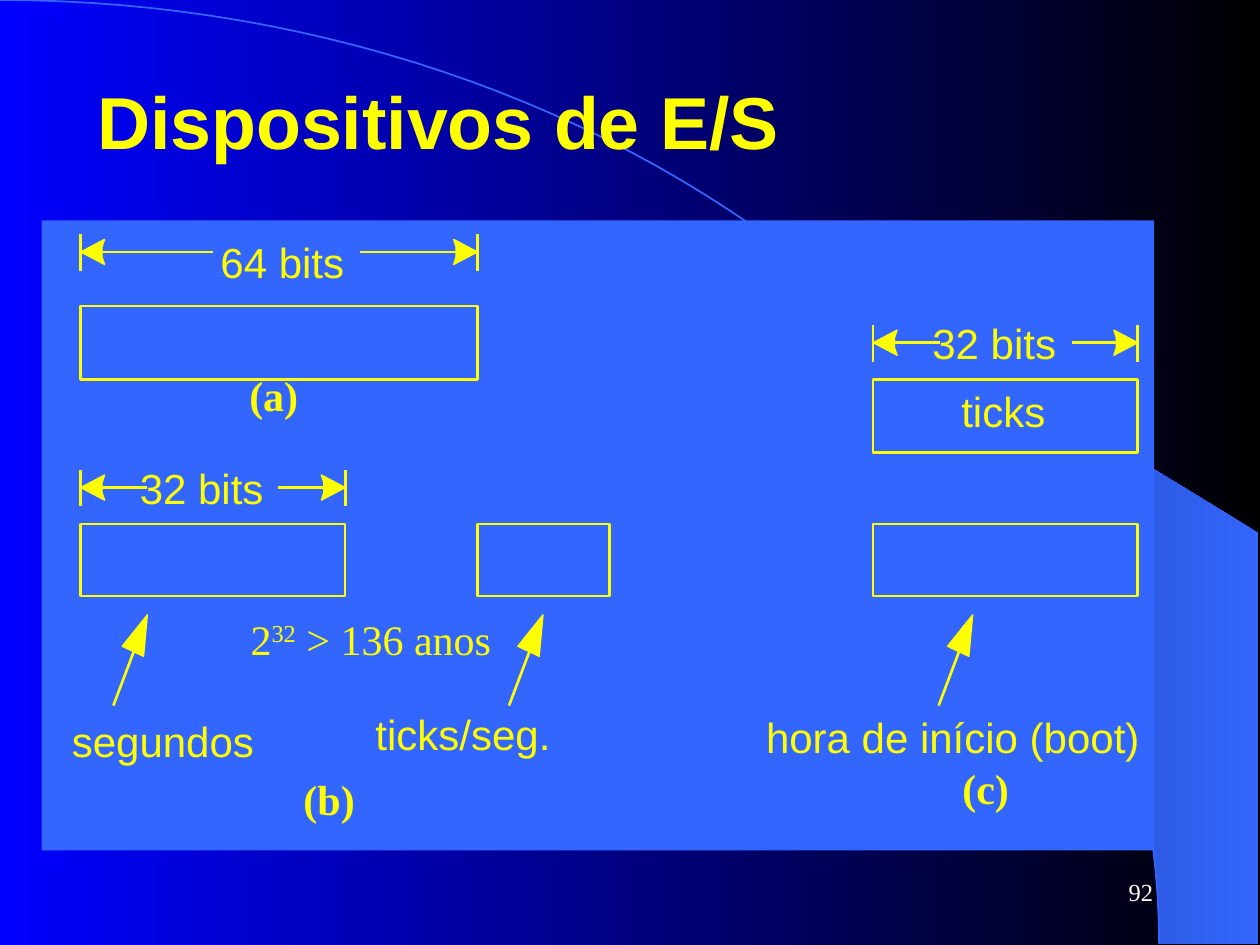
from math import asin, cos, pi, sin

from lxml import etree
from pptx import Presentation
from pptx.dml.color import RGBColor
from pptx.enum.shapes import MSO_CONNECTOR, MSO_SHAPE
from pptx.enum.text import MSO_ANCHOR, MSO_AUTO_SIZE, PP_ALIGN
from pptx.oxml.ns import qn
from pptx.util import Inches, Pt

YELLOW, BLUE = "FFFF00", "3366FF"
SANS, SERIF = "Arial", "Times New Roman"
ARC_WIDTH, ARC_HEIGHT = 9.2, 7.49

# left, top, width, height
PANEL = (0.33, 1.75, 8.83, 5)
FIELDS = [
    (0.64, 2.43, 3.15, 0.58),
    (0.64, 4.16, 2.1, 0.57),
    (3.79, 4.16, 1.05, 0.57),
    (6.93, 3.01, 2.1, 0.58),
    (6.93, 4.16, 2.1, 0.57),
]
# left, right, centre height, end of left arrow, start of right arrow
DIMENSIONS = [
    (0.64, 3.79, 2.0, 1.69, 2.86),
    (0.64, 2.74, 3.87, 1.17, 2.21),
    (6.93, 9.03, 2.72, 7.46, 8.51),
]
POINTER_TIPS = [1.17, 4.31, 7.72]
# text, left, top, width
LABELS = [
    ("64 bits", 1.75, 1.88, 1),
    ("32 bits", 1.11, 3.67, 1),
    ("32 bits", 7.4, 2.52, 1),
    ("ticks", 7.63, 3.06, 0.67),
    ("segundos", 0.57, 5.68, 1.45),
    ("ticks/seg.", 2.98, 5.62, 1.39),
    ("hora de início (boot)", 6.08, 5.65, 2.97),
]
CAPTIONS = [
    ("(a)", 1.88, 2.88, 0.59),
    ("(b)", 2.31, 6.09, 0.61),
    ("(c)", 7.54, 6, 0.57),
]


def rgb(code):
    return RGBColor.from_string(code)


def paint(shape, fill=None, line=None, weight=1.5):
    shape.shadow.inherit = False
    if fill:
        shape.fill.solid()
        shape.fill.fore_color.rgb = rgb(fill)
    else:
        shape.fill.background()
    if line:
        shape.line.color.rgb = rgb(line)
        shape.line.width = Pt(weight)
    else:
        shape.line.fill.background()


def blend(fill, first, last):
    """Fill with a gradient that runs from right to left."""
    fill.gradient()
    fill.gradient_angle = 180
    for stop, code in zip(fill.gradient_stops, (first, last)):
        stop.color.rgb = rgb(code)


def add_rectangle(page, box, line=None):
    shape = page.shapes.add_shape(MSO_SHAPE.RECTANGLE, *map(Inches, box))
    paint(shape, BLUE, line)


def add_outline(page, points, close=True):
    corners = [(Inches(x), Inches(y)) for x, y in points]
    builder = page.shapes.build_freeform(*corners[0])
    builder.add_line_segments(corners[1:], close=close)
    return builder.convert_to_shape()


def add_line(page, x1, y1, x2, y2):
    line = page.shapes.add_connector(
        MSO_CONNECTOR.STRAIGHT, *map(Inches, (x1, y1, x2, y2)))
    line.line.color.rgb = rgb(YELLOW)
    line.line.width = Pt(1.5)
    etree.SubElement(line._element.spPr, qn("a:effectLst"))


def add_span(para, text, font=SANS, size=24, color=YELLOW, bold=False):
    span = para.add_run()
    span.text = text
    span.font.name = font
    span.font.size = Pt(size)
    span.font.bold = bold
    span.font.color.rgb = rgb(color)
    return span


def add_box(page, left, top, width, height, inset=True, wrap=False):
    """Add a text box and return its frame."""
    box = page.shapes.add_textbox(*map(Inches, (left, top, width, height)))
    frame = box.text_frame
    frame.word_wrap = wrap
    if not wrap:
        frame.auto_size = MSO_AUTO_SIZE.SHAPE_TO_FIT_TEXT
    if not inset:
        frame.margin_left = frame.margin_right = 0
        frame.margin_top = frame.margin_bottom = 0
    return frame


def arc_points(start_x, steps=60):
    """Points on the quarter ellipse from start_x to its right end."""
    start = asin(start_x / ARC_WIDTH)
    angles = [start + (pi / 2 - start) * i / steps for i in range(steps + 1)]
    return [(ARC_WIDTH * sin(a), ARC_HEIGHT * (1 - cos(a))) for a in angles]


def add_dimension(page, left, right, y, left_end, right_start):
    for edge, inner, side in ((left, left_end, 1), (right, right_start, -1)):
        add_line(page, edge, y - 0.14, edge, y + 0.15)
        add_line(page, edge + side * 0.14, y, inner, y)
        head = [(0, 0), (0.19, -0.1), (0.17, -0.04), (0.17, 0.04), (0.19, 0.1)]
        shape = add_outline(page, [(edge + side * x, y + dy) for x, dy in head])
        paint(shape, YELLOW, YELLOW, 0.75)


def add_pointer(page, tip):
    add_line(page, tip - 0.27, 5.6, tip - 0.1, 5.15)
    head = add_outline(page, [(tip - 0.2, 5.13), (tip, 4.88), (tip - 0.03, 5.21)])
    paint(head, YELLOW, YELLOW, 0.75)


def main():
    deck = Presentation()
    deck.slide_width, deck.slide_height = Inches(10), Inches(7.5)
    page = deck.slides.add_slide(deck.slide_layouts[5])
    blend(page.background.fill, "000000", "0000FF")

    wedge = add_outline(page, arc_points(5.89) + [(9.99, 7.49), (9.99, 4.23)])
    paint(wedge)
    blend(wedge.fill, BLUE, "172F75")
    paint(add_outline(page, arc_points(0), close=False), line=BLUE, weight=1)

    title = page.shapes.title
    title.left, title.top, title.width, title.height = map(
        Inches, (0.67, 0.33, 9, 1.25))
    title.text_frame.vertical_anchor = MSO_ANCHOR.MIDDLE
    para = title.text_frame.paragraphs[0]
    para.alignment = PP_ALIGN.LEFT
    add_span(para, "Dispositivos de E/S", size=42, bold=True)
    page.shapes._spTree.append(title._element)  # in front of the arc

    add_rectangle(page, PANEL)
    for field in FIELDS:
        add_rectangle(page, field, YELLOW)
    for dimension in DIMENSIONS:
        add_dimension(page, *dimension)
    for tip in POINTER_TIPS:
        add_pointer(page, tip)

    for text, left, top, width in LABELS:
        frame = add_box(page, left, top, width, 0.4, inset=False)
        add_span(frame.paragraphs[0], text)
    for text, left, top, width in CAPTIONS:
        frame = add_box(page, left, top, width, 0.5)
        add_span(frame.paragraphs[0], text, SERIF, bold=True)

    para = add_box(page, 1.89, 4.82, 2.11, 0.5).paragraphs[0]
    add_span(para, "2", SERIF)
    exponent = add_span(para, "32", SERIF)
    exponent.font._element.set("baseline", "30000")
    add_span(para, " > 136 anos", SERIF)

    frame = add_box(page, 7.17, 6.83, 2.08, 0.5, wrap=True)
    frame.vertical_anchor = MSO_ANCHOR.MIDDLE
    para = frame.paragraphs[0]
    para.alignment = PP_ALIGN.RIGHT
    add_span(para, "92", SERIF, 14, "FFFFFF")

    deck.save("out.pptx")


if __name__ == "__main__":
    main()
